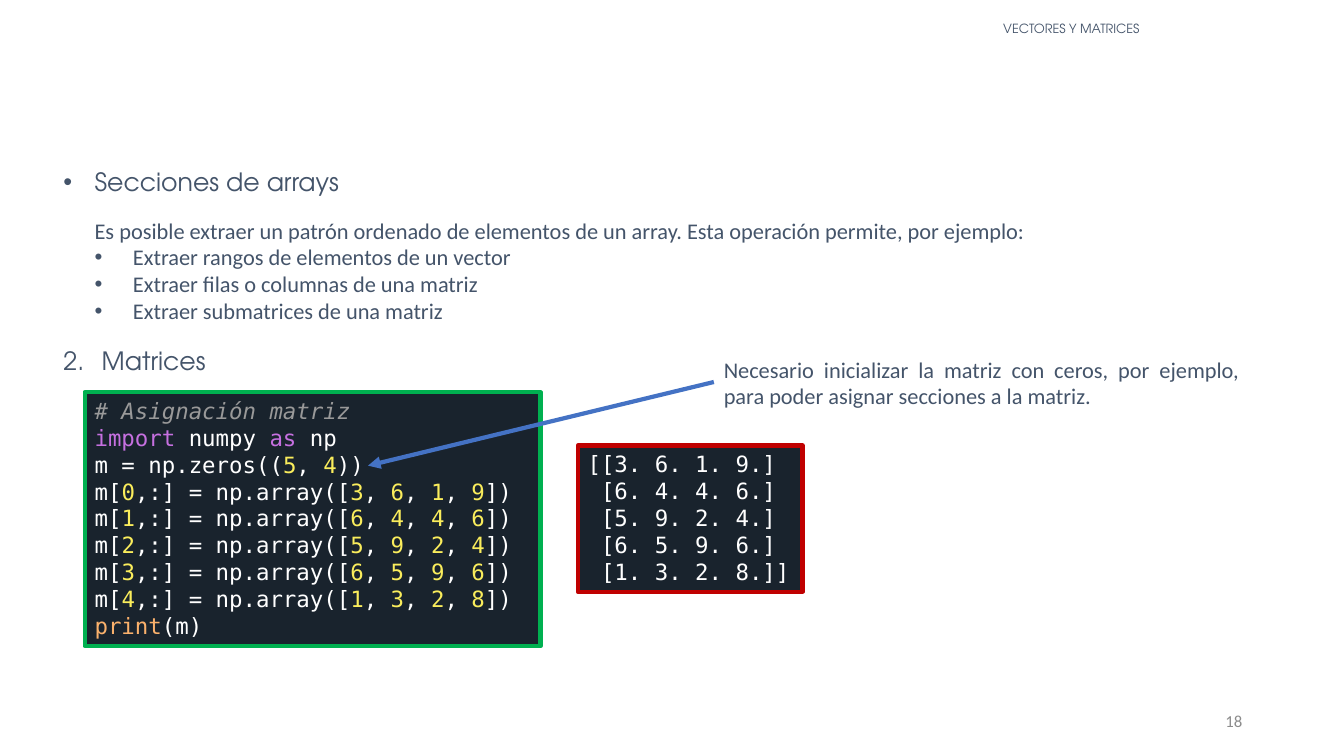
import pptx
import pptx.dml.color
import pptx.enum.shapes
import pptx.enum.text
import pptx.oxml.ns
import pptx.util
from lxml import etree

Inches, Pt = pptx.util.Inches, pptx.util.Pt
ALIGN = pptx.enum.text.PP_ALIGN
HEADING, BODY, MONO = "TeX Gyre Adventor", "Calibri", "DejaVu Sans Mono"
COLORS = {
    "text": "44546A", "page": "8C8C8C", "editor": "19232D", "code_frame": "00B050",
    "output_frame": "C00000", "arrow": "4472C4", "comment": "999999",
    "keyword": "C670E0", "plain": "FFFFFF", "number": "FAED5C", "builtin": "FAB16C",
}

CHAPTER = "VECTORES Y MATRICES"
SECTION = "Secciones de arrays"
INTRO = "Es posible extraer un patrón ordenado de elementos de un array. Esta operación permite, por ejemplo:"
USES = [
    "Extraer rangos de elementos de un vector",
    "Extraer filas o columnas de una matriz",
    "Extraer submatrices de una matriz",
]
TOPIC = "Matrices"
NOTE = "Necesario inicializar la matriz con ceros, por ejemplo, para poder asignar secciones a la matriz."
PAGE = "18"
MATRIX = [(3, 6, 1, 9), (6, 4, 4, 6), (5, 9, 2, 4), (6, 5, 9, 6), (1, 3, 2, 8)]
CODE_START = [
    [("# Asignación matriz", "comment")],
    [("import ", "keyword"), ("numpy ", "plain"), ("as ", "keyword"), ("np", "plain")],
    [("m = np.zeros((", "plain"), ("5", "number"), (", ", "plain"), ("4", "number"), ("))", "plain")],
]
CODE_END = [[("print", "builtin"), ("(m)", "plain")]]


def rgb(name):
    return pptx.dml.color.RGBColor.from_string(COLORS[name])


def assignment(index, values):
    runs = [("m[", "plain"), (str(index), "number"), (",:] = np.array([", "plain")]
    for value in values:
        runs += [(str(value), "number"), (", ", "plain")]
    return runs[:-1] + [("])", "plain")]


def printed(matrix):
    rows = [" [" + " ".join(f"{value}." for value in row) + "]" for row in matrix]
    rows[0] = "[" + rows[0].lstrip()
    rows[-1] += "]"
    return rows


def write(shape, lines, font, size, color="text", align=ALIGN.LEFT, wrap=True):
    frame = shape.text_frame
    frame.word_wrap = wrap
    frame.vertical_anchor = pptx.enum.text.MSO_ANCHOR.TOP
    for number, line in enumerate(lines):
        paragraph = frame.add_paragraph() if number else frame.paragraphs[0]
        paragraph.alignment = align
        paragraph.font.name = font
        paragraph.font.size = Pt(size)
        paragraph.font.color.rgb = rgb(color)
        for words, role in [(line, color)] if isinstance(line, str) else line:
            run = paragraph.add_run()
            run.text = words
            run.font.name = font
            run.font.size = Pt(size)
            run.font.color.rgb = rgb(role)
            if role == "comment":
                run.font.italic = True
    return frame


def add_text(slide, box, lines, font, size, **style):
    shape = slide.shapes.add_textbox(*map(Inches, box))
    return write(shape, lines, font, size, **style)


def add_panel(slide, box, frame_color, lines):
    panel = slide.shapes.add_shape(pptx.enum.shapes.MSO_SHAPE.RECTANGLE, *map(Inches, box))
    panel.shadow.inherit = False
    panel.fill.solid()
    panel.fill.fore_color.rgb = rgb("editor")
    panel.line.color.rgb = rgb(frame_color)
    panel.line.width = Pt(3)
    write(panel, lines, MONO, 16, color="plain", wrap=False)


def add_child(parent, tag, **attributes):
    return etree.SubElement(parent, pptx.oxml.ns.qn(tag), **attributes)


def add_bullet(paragraph, indent, start=None):
    properties = paragraph._p.get_or_add_pPr()
    properties.set("marL", str(Inches(indent)))
    properties.set("indent", str(-Inches(indent)))
    if start:
        add_child(properties, "a:buFont", typeface="+mj-lt")
        add_child(properties, "a:buAutoNum", type="arabicPeriod", startAt=str(start))
    else:
        add_child(properties, "a:buFont", typeface="Arial")
        add_child(properties, "a:buChar", char="•")


def add_arrow(slide, tip, tail):
    arrow = slide.shapes.add_connector(
        pptx.enum.shapes.MSO_CONNECTOR.STRAIGHT, *map(Inches, tip + tail))
    arrow.line.color.rgb = rgb("arrow")
    arrow.line.width = Pt(3)
    add_child(arrow.line._get_or_add_ln(), "a:headEnd", type="triangle")
    add_child(arrow._element.spPr, "a:effectLst")


def main():
    deck = pptx.Presentation()
    deck.slide_width, deck.slide_height = Inches(13.33), Inches(7.5)
    slide = deck.slides.add_slide(deck.slide_layouts[6])

    chapter = add_text(slide, (7.97, 0.17, 5.31, 0.28), [CHAPTER], HEADING, 9, align=ALIGN.CENTER)
    chapter.paragraphs[0].line_spacing = 0.9
    chapter.paragraphs[0].space_before = Pt(10)

    section = add_text(slide, (0.53, 1.6, 3.01, 0.4), [SECTION], HEADING, 18, wrap=False)
    add_bullet(section.paragraphs[0], 0.31)

    uses = add_text(slide, (0.84, 2.1, 10.11, 1.18), [INTRO] + USES, BODY, 16, align=ALIGN.JUSTIFY)
    for use in uses.paragraphs[1:]:
        add_bullet(use, 0.38)

    topic = add_text(slide, (0.53, 3.38, 1.71, 0.4), [TOPIC], HEADING, 18, wrap=False)
    add_bullet(topic.paragraphs[0], 0.38, start=2)

    assignments = [assignment(index, row) for index, row in enumerate(MATRIX)]
    add_panel(slide, (0.84, 3.89, 4.52, 2.52), "code_frame", CODE_START + assignments + CODE_END)
    add_panel(slide, (5.73, 4.42, 2.23, 1.45), "output_frame", printed(MATRIX))
    add_arrow(slide, (3.65, 4.62), (7.08, 3.79))
    add_text(slide, (7.08, 3.48, 5.31, 0.64), [NOTE], BODY, 16, align=ALIGN.JUSTIFY)

    page = add_text(slide, (9.42, 6.95, 3, 0.4), [PAGE], BODY, 12, color="page", align=ALIGN.RIGHT)
    page.vertical_anchor = pptx.enum.text.MSO_ANCHOR.MIDDLE
    deck.save("out.pptx")


if __name__ == "__main__":
    main()
